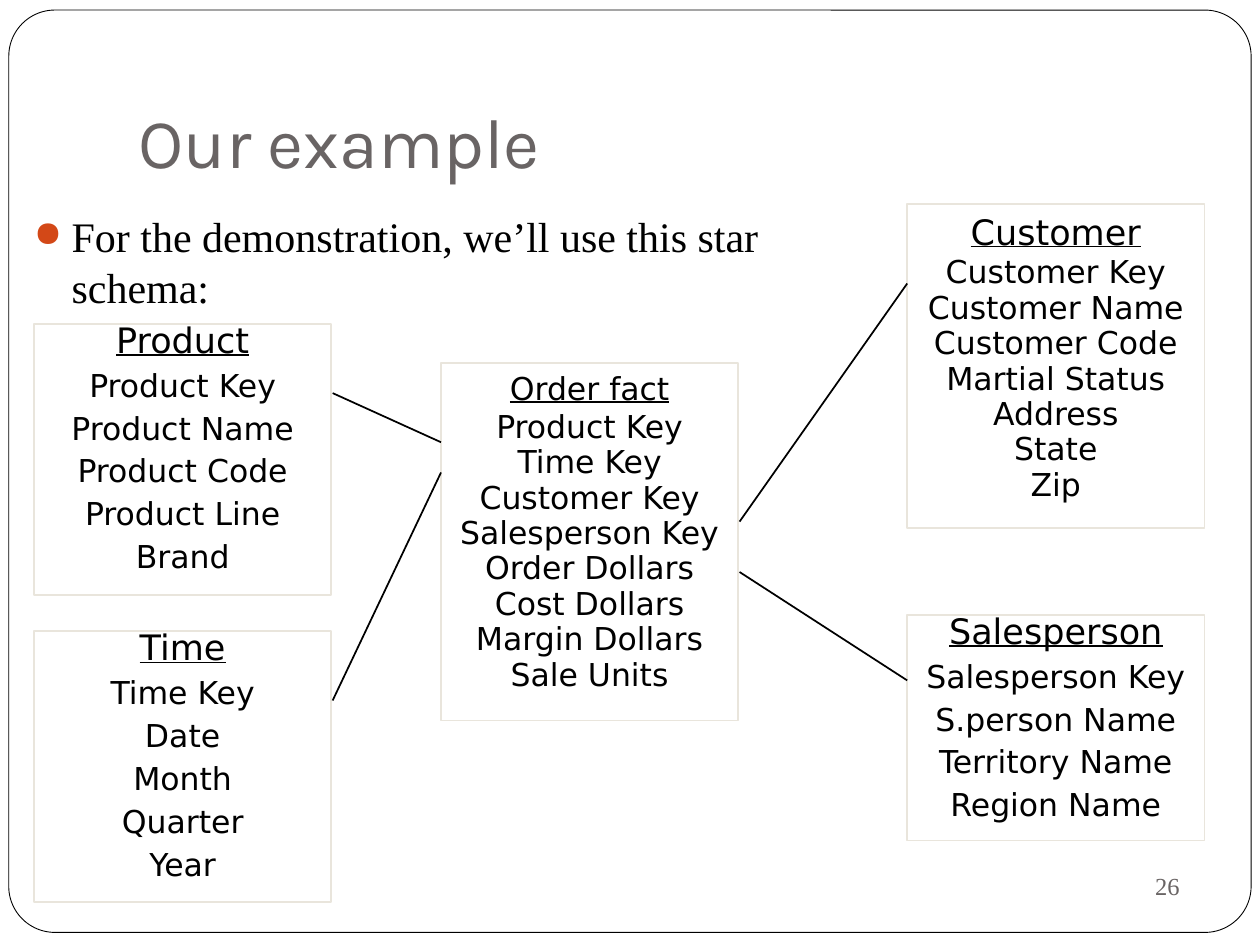
from lxml.etree import SubElement
from pptx import Presentation
from pptx.dml.color import RGBColor
from pptx.enum.shapes import MSO_CONNECTOR, MSO_SHAPE
from pptx.enum.text import MSO_ANCHOR as Anchor, PP_ALIGN as Align
from pptx.oxml.ns import qn
from pptx.util import Inches, Pt

BLACK = RGBColor(0x00, 0x00, 0x00)
GRAY = RGBColor(0x69, 0x64, 0x64)
BORDER = RGBColor(0xE9, 0xE5, 0xDC)
BULLET = "D34817"
SERIF = "Times New Roman"
TABLE_WIDTH = 2.36
LEFT, CENTER, RIGHT = 0.27, 3.5, 7.2

TABLES = [
    (CENTER, 2.88, 2.84, 18, 1.0, 0.5, "Order fact",
     ["Product Key", "Time Key", "Customer Key", "Salesperson Key",
      "Order Dollars", "Cost Dollars", "Margin Dollars", "Sale Units"]),
    (RIGHT, 1.62, 2.57, 20, 1.0, 0.5, "Customer",
     ["Customer Key", "Customer Name", "Customer Code", "Martial Status",
      "Address", "State", "Zip"]),
    (RIGHT, 4.88, 1.79, 20, 0.7, 0.7, "Salesperson",
     ["Salesperson Key", "S.person Name", "Territory Name", "Region Name"]),
    (LEFT, 2.57, 2.15, 20, 0.7, 0.7, "Product",
     ["Product Key", "Product Name", "Product Code", "Product Line", "Brand"]),
    (LEFT, 5.01, 2.15, 20, 0.7, 0.7, "Time",
     ["Time Key", "Date", "Month", "Quarter", "Year"]),
]

RELATIONS = [
    (5.87, 4.14, 7.2, 2.25),
    (5.87, 4.54, 7.2, 5.4),
    (3.5, 3.51, 2.64, 3.12),
    (2.64, 5.56, 3.5, 3.75),
]


def format_font(paragraph, name, size, color):
    """Set the font of a whole paragraph."""
    font = paragraph.font
    font.name, font.size = name, Pt(size)
    font.color.rgb = color


def add_outline(slide, preset, box, color, width):
    """Add an unfilled outlined shape in the given box."""
    shape = slide.shapes.add_shape(preset, *map(Inches, box))
    shape.shadow.inherit = False
    shape.fill.background()
    shape.line.color.rgb = color
    shape.line.width = Pt(width)
    return shape


def add_title(slide, box, text):
    """Move and format the title placeholder."""
    title = slide.shapes.title
    title.left, title.top, title.width, title.height = map(Inches, box)
    frame = title.text_frame
    frame.text = text
    frame.vertical_anchor = Anchor.BOTTOM
    frame.margin_bottom = Inches(0.1)
    paragraph = frame.paragraphs[0]
    paragraph.alignment = Align.LEFT
    format_font(paragraph, "Karla", 40, GRAY)


def add_text(slide, box, text, size, color):
    """Add a wrapped serif text box."""
    frame = slide.shapes.add_textbox(*map(Inches, box)).text_frame
    frame.word_wrap = True
    frame.text = text
    format_font(frame.paragraphs[0], SERIF, size, color)
    return frame


def add_bullet(slide, box, text):
    """Add the bulleted introduction."""
    paragraph = add_text(slide, box, text, 24, BLACK).paragraphs[0]
    paragraph.line_spacing = Pt(29)
    properties = paragraph._p.get_or_add_pPr()
    properties.set("marL", str(Inches(0.3)))
    properties.set("indent", str(-Inches(0.3)))
    color = SubElement(properties, qn("a:buClr"))
    SubElement(color, qn("a:srgbClr"), val=BULLET)
    SubElement(properties, qn("a:buSzPct"), val="85000")
    SubElement(properties, qn("a:buChar"), char="●")


def add_page_number(slide, box, text):
    """Add the right-aligned page number."""
    frame = add_text(slide, box, text, 14, GRAY)
    frame.vertical_anchor = Anchor.MIDDLE
    frame.paragraphs[0].alignment = Align.RIGHT


def add_schema_table(slide, box, name, fields, name_size, name_spacing, field_spacing):
    """Add a schema box with an underlined name above its fields."""
    frame = add_outline(slide, MSO_SHAPE.RECTANGLE, box, BORDER, 1).text_frame
    frame.word_wrap = True
    frame.vertical_anchor = Anchor.TOP
    frame.text = "\n".join([name, *fields])
    heading, *rows = frame.paragraphs
    for paragraph in frame.paragraphs:
        paragraph.alignment = Align.CENTER
        format_font(paragraph, "DejaVu Sans", 18, BLACK)
    heading.font.size = Pt(name_size)
    heading.font.underline = True
    heading.line_spacing = name_spacing
    for row in rows:
        row.line_spacing = field_spacing
        row.space_before = Pt(9.4)


def add_relation(slide, ends):
    """Draw a line between two schema boxes."""
    line = slide.shapes.add_connector(MSO_CONNECTOR.STRAIGHT, *map(Inches, ends))
    line.line.color.rgb = BLACK
    line.line.width = Pt(1)
    SubElement(line._element.spPr, qn("a:effectLst"))


def main():
    """Build and save the star schema slide."""
    presentation = Presentation()
    presentation.slide_width, presentation.slide_height = Inches(10), Inches(7.5)
    slide = presentation.slides.add_slide(presentation.slide_layouts[5])
    border = add_outline(slide, MSO_SHAPE.ROUNDED_RECTANGLE,
                         (0.07, 0.08, 9.86, 7.32), BLACK, 0.5)
    border.adjustments[0] = 0.05
    add_page_number(slide, (6.75, 6.77, 2.71, 0.52), "26")
    add_title(slide, (1, 0.3, 8.5, 1.25), "Our example")
    add_bullet(slide, (0.17, 1.62, 6.67, 0.4),
               "For the demonstration, we’ll use this star schema:")
    for left, top, height, size, name_spacing, field_spacing, name, fields in TABLES:
        add_schema_table(slide, (left, top, TABLE_WIDTH, height), name, fields,
                         size, name_spacing, field_spacing)
    for ends in RELATIONS:
        add_relation(slide, ends)
    presentation.save("out.pptx")


if __name__ == "__main__":
    main()
